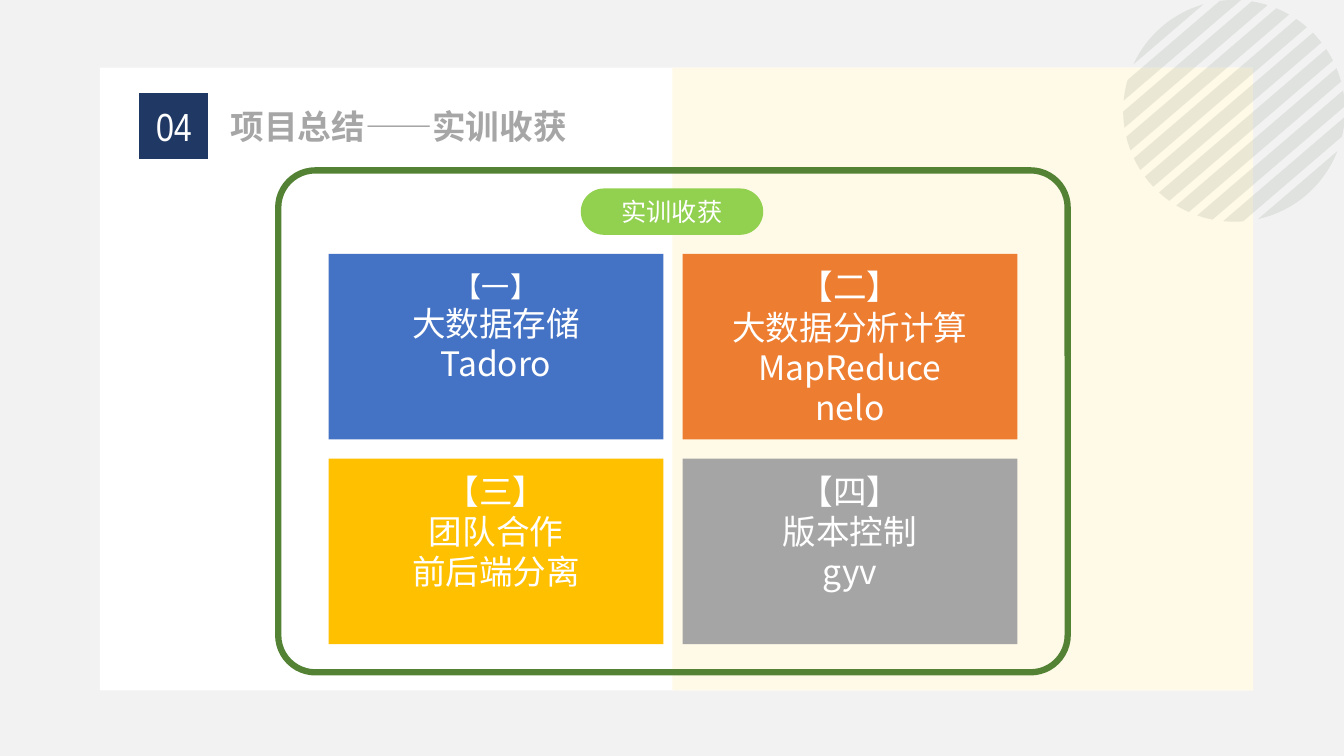
import math
from dataclasses import dataclass

import pptx
import pptx.util
from pptx.dml.color import RGBColor
from pptx.enum.shapes import MSO_SHAPE
from pptx.enum.text import MSO_ANCHOR, MSO_AUTO_SIZE, PP_ALIGN
from pptx.oxml import parse_xml
from pptx.oxml.ns import nsdecls, qn
from pptx.util import Inches


@dataclass(frozen=True)
class Theme:
    background: str = "F2F2F2"
    white: str = "FFFFFF"
    cream: str = "FFF9E7"
    navy: str = "203864"
    title_grey: str = "A6A6A6"
    frame_green: str = "548235"
    label_green: str = "92D050"
    stripe_green: str = "748773"
    blue: str = "4472C4"
    orange: str = "ED7D31"
    yellow: str = "FFC000"
    grey: str = "A5A5A5"
    cjk_font: str = "Noto Sans CJK SC"
    number_font: str = "Arial Narrow"
    number_size: int = 28
    text_size: int = 24
    small_size: int = 20
    label_size: int = 18


THEME = Theme()
CARD_LINE = 0.4  # height of one line of card text, in inches
CARDS = [
    (THEME.blue, THEME.small_size, ["【一】", "大数据存储", "Tadoro"]),
    (THEME.orange, THEME.text_size, ["【二】", "大数据分析计算", "MapReduce", "nelo"]),
    (THEME.yellow, THEME.text_size, ["【三】", "团队合作", "前后端分离"]),
    (THEME.grey, THEME.text_size, ["【四】", "版本控制", "gyv"]),
]


def add_block(slide, place, fill=None, kind=MSO_SHAPE.RECTANGLE, adjust=None):
    """Add a borderless preset shape; place is left, top, width, height in inches."""
    block = slide.shapes.add_shape(kind, *map(Inches, place))
    block.shadow.inherit = False
    block.line.fill.background()
    if fill:
        block.fill.solid()
        block.fill.fore_color.rgb = RGBColor.from_string(fill)
    else:
        block.fill.background()
    if adjust is not None:
        block.adjustments[0] = adjust
    return block


def add_span(para, text, size, color=THEME.white, font=THEME.cjk_font, bold=False):
    span = para.add_run()
    span.text = text
    span.font.size = pptx.util.Pt(size)
    span.font.bold = bold
    span.font.color.rgb = RGBColor.from_string(color)
    span.font.name = font
    east_asian = parse_xml(f'<a:ea {nsdecls("a")} typeface="{font}"/>')
    span.font._element.append(east_asian)


def write_centred(block, lines, **style):
    """Write (text, size) lines, one paragraph each, in the middle of a shape."""
    frame = block.text_frame
    frame.word_wrap = True
    frame.vertical_anchor = MSO_ANCHOR.MIDDLE
    for index, (text, size) in enumerate(lines):
        para = frame.add_paragraph() if index else frame.paragraphs[0]
        para.alignment = PP_ALIGN.CENTER
        add_span(para, text, size, **style)


def add_heading(slide, number, title):
    box = slide.shapes.add_textbox(*map(Inches, (2.19, 1, 5.5, 0.5)))
    box.text_frame.word_wrap = True
    box.text_frame.auto_size = MSO_AUTO_SIZE.SHAPE_TO_FIT_TEXT
    add_span(box.text_frame.paragraphs[0], title, THEME.text_size,
             color=THEME.title_grey, bold=True)
    add_block(slide, (1.38, 0.92, 0.68, 0.66), THEME.navy, MSO_SHAPE.PARALLELOGRAM, 0)
    badge = add_block(slide, (1.4, 0.97, 0.65, 0.57), THEME.navy)
    write_centred(badge, [(number, THEME.number_size)], font=THEME.number_font)
    badge.text_frame.vertical_anchor = MSO_ANCHOR.TOP
    badge.text_frame.auto_size = MSO_AUTO_SIZE.SHAPE_TO_FIT_TEXT


def add_cards(slide):
    """Lay the cards out two by two; each holds room for four lines."""
    for index, (fill, first_size, lines) in enumerate(CARDS):
        row, column = divmod(index, 2)
        card = add_block(slide, (3.26 + 3.51 * column, 2.52 + 2.03 * row, 3.32, 1.84), fill)
        sizes = [first_size] + [THEME.text_size] * (len(lines) - 1)
        write_centred(card, zip(lines, sizes))
        card.text_frame.margin_bottom = Inches(0.05 + CARD_LINE * (4 - len(lines)))


def stripe_outline(near, far, radius, tilt, steps=8):
    """Points round the slice of a circle between two parallel chords."""
    start, end = (math.asin(max(-1, min(1, edge / radius))) for edge in (near, far))
    angles = [start + (end - start) * step / steps for step in range(steps + 1)]
    right = [(radius * math.cos(a), radius * math.sin(a)) for a in angles]
    left = [(-along, across) for along, across in reversed(right)]
    return [(along * math.cos(tilt) + across * math.sin(tilt),
             across * math.cos(tilt) - along * math.sin(tilt))
            for along, across in right + left]


def add_striped_circle(slide):
    center_x, center_y, radius = 12.24, 1.1, 1.1
    tilt = math.radians(40.6)
    pitch, thickness, first_edge = 0.21, 0.13, -1.0
    builder = None
    for index in range(11):
        far = first_edge + pitch * index
        points = [(Inches(center_x + x), Inches(center_y + y))
                  for x, y in stripe_outline(far - thickness, far, radius, tilt)]
        if builder is None:
            builder = slide.shapes.build_freeform(*points[0])
        else:
            builder.move_to(*points[0])
        builder.add_line_segments(points[1:], close=True)
    circle = builder.convert_to_shape()
    circle.shadow.inherit = False
    circle.line.fill.background()
    circle.fill.solid()
    circle.fill.fore_color.rgb = RGBColor.from_string(THEME.stripe_green)
    color = circle._element.spPr.find(qn("a:solidFill"))[0]
    color.append(parse_xml(f'<a:alpha {nsdecls("a")} val="15000"/>'))


def main():
    deck = pptx.Presentation()
    deck.slide_width, deck.slide_height = Inches(13.33), Inches(7.5)
    slide = deck.slides.add_slide(deck.slide_layouts[6])
    slide.background.fill.solid()
    slide.background.fill.fore_color.rgb = RGBColor.from_string(THEME.background)

    add_block(slide, (0.99, 0.67, 11.44, 6.18), THEME.white)
    add_block(slide, (6.67, 0.67, 5.76, 6.18), THEME.cream)
    add_heading(slide, "04", "项目总结——实训收获")
    add_cards(slide)

    frame = add_block(slide, (2.76, 1.69, 7.83, 4.98),
                      kind=MSO_SHAPE.ROUNDED_RECTANGLE, adjust=0.074)
    frame.line.color.rgb = RGBColor.from_string(THEME.frame_green)
    frame.line.width = pptx.util.Pt(4.5)

    add_striped_circle(slide)
    label = add_block(slide, (5.76, 1.87, 1.81, 0.46), THEME.label_green,
                      MSO_SHAPE.ROUNDED_RECTANGLE, 0.5)
    write_centred(label, [("实训收获", THEME.label_size)])
    deck.save("out.pptx")


if __name__ == "__main__":
    main()
